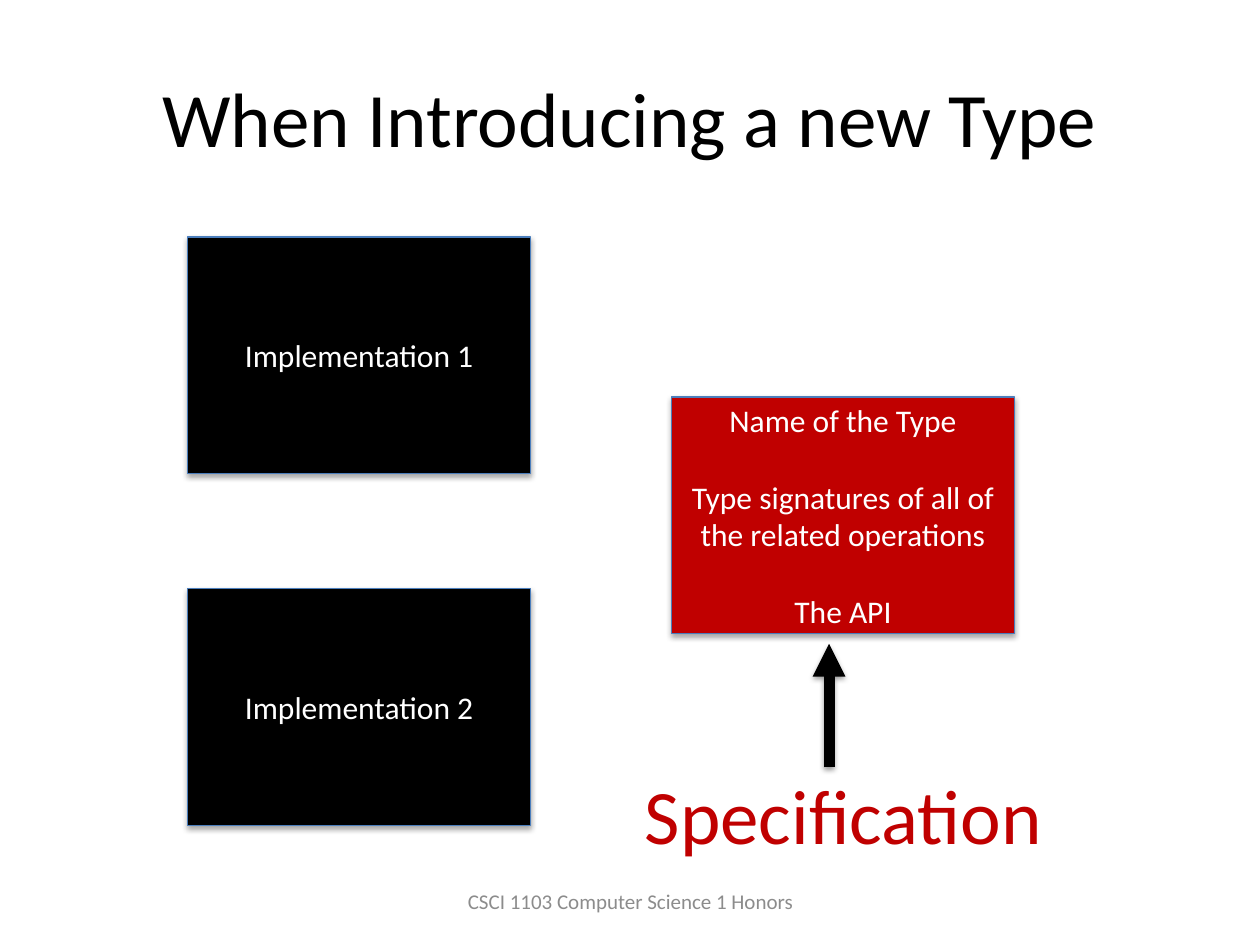
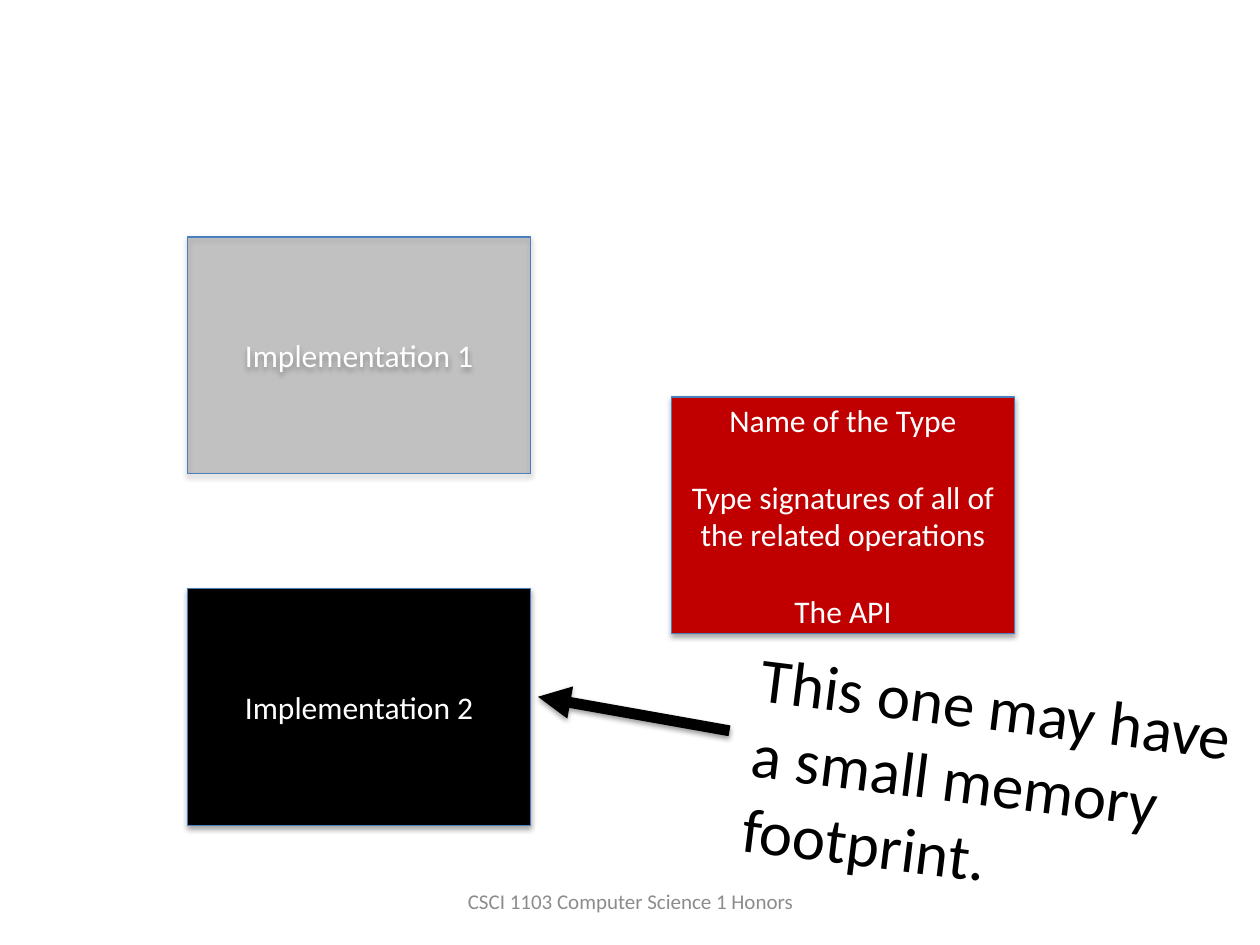
"""Build two slides on introducing a new type: implementations and their specification."""
from pptx import Presentation
from pptx.dml.color import RGBColor
from pptx.enum.shapes import MSO_CONNECTOR, MSO_SHAPE
from pptx.enum.text import MSO_ANCHOR, MSO_AUTO_SIZE, PP_ALIGN
from pptx.oxml import parse_xml
from pptx.oxml.ns import nsdecls, qn
from pptx.util import Inches, Pt

STRAIGHT = MSO_CONNECTOR.STRAIGHT
RECTANGLE = MSO_SHAPE.RECTANGLE
TOP, MIDDLE = MSO_ANCHOR.TOP, MSO_ANCHOR.MIDDLE
GROW = MSO_AUTO_SIZE.SHAPE_TO_FIT_TEXT
LEFT, CENTER = PP_ALIGN.LEFT, PP_ALIGN.CENTER

FONT = "Calibri"
BLACK, WHITE, RED, GREY, BLUE = "000000", "FFFFFF", "C00000", "8C8C8C", "4B7EBC"
WIDTH, HEIGHT = Inches(10), Inches(7.5)
COLUMNS, ROWS = 100, 75
BOX_COLUMNS, BOX_ROWS = 27.2, 18.8
SPECIFICATION = ["Name of the Type", "Type signatures of all of the related operations", "The API"]
BOXES = [
    (53.3, 31.5, RED, SPECIFICATION),
    (14.9, 18.8, BLACK, ["Implementation 1"]),
    (14.9, 46.7, BLACK, ["Implementation 2"]),
]
SLIDES = [
    {
        "layout": 5,
        "title": "When Introducing a new Type",
        "faded": [],
        "note": ["Specification"],
        "note_place": (50.2, 60.4, 34, 8.4),
        "note_format": {"size": 44, "color": RED, "wrap": False},
        "rotation": 0,
        "arrow": (65.8, 60.9, 65.8, 51.1),
    },
    {
        "layout": 6,
        "title": None,
        "faded": [["Implementation 1"]],
        "note": ["This one may have a small memory footprint."],
        "note_place": (58.6, 52.5, 39.9, 19.2),
        "note_format": {"size": 36},
        "rotation": 7.1,
        "arrow": (57.9, 58, 42.7, 55.3),
    },
]


def on_grid(left, top, right, bottom):
    """Turn two pairs of columns and rows into slide lengths."""
    return [round(count * share) for count, share in zip(
        (left, top, right, bottom), (WIDTH / COLUMNS, HEIGHT / ROWS) * 2)]


def write_text(shape, lines, size=18, color=BLACK, align=CENTER, anchor=MIDDLE, wrap=True, gap=0):
    """Write one paragraph per line into a shape."""
    frame = shape.text_frame
    frame.word_wrap = wrap
    frame.vertical_anchor = anchor
    frame.text = "\n".join(lines)
    for number, paragraph in enumerate(frame.paragraphs):
        paragraph.alignment = align
        paragraph.space_before = Pt(gap if number else 0)
        font = paragraph.runs[0].font
        font.name, font.size = FONT, Pt(size)
        font.color.rgb = RGBColor.from_string(color)


presentation = Presentation()
presentation.slide_width, presentation.slide_height = WIDTH, HEIGHT

for content in SLIDES:
    slide = presentation.slides.add_slide(presentation.slide_layouts[content["layout"]])
    shapes = slide.shapes
    shadowed = []

    if content["title"]:
        title = shapes.title
        title.left, title.top, title.width, title.height = on_grid(5, 3, 90, 12.5)
        write_text(title, [content["title"]], size=44)

    footer = shapes.add_textbox(*on_grid(34.2, 69.5, 31.7, 4))
    write_text(footer, ["CSCI 1103 Computer Science 1 Honors"], size=12, color=GREY)

    for column, row, color, lines in BOXES:
        box = shapes.add_shape(RECTANGLE, *on_grid(column, row, BOX_COLUMNS, BOX_ROWS))
        box.fill.solid()
        box.fill.fore_color.rgb = RGBColor.from_string(color)
        if lines in content["faded"]:
            fill_color = box._element.spPr.find(qn("a:solidFill"))[0]
            fill_color.append(parse_xml(f'<a:alpha {nsdecls("a")} val="19000"/>'))
        box.line.color.rgb = RGBColor.from_string(BLUE)
        box.line.width = Pt(0.75)
        write_text(box, lines, color=WHITE, gap=22)
        shadowed.append((box, 35, 1.8))

    note = shapes.add_textbox(*on_grid(*content["note_place"]))
    note.rotation = content["rotation"]
    write_text(note, content["note"], align=LEFT, anchor=TOP, **content["note_format"])
    note.text_frame.auto_size = GROW

    arrow = shapes.add_connector(STRAIGHT, *on_grid(*content["arrow"]))
    arrow.line.color.rgb = RGBColor.from_string(BLACK)
    arrow.line.width = Pt(6.25)
    arrow.line._get_or_add_ln().append(parse_xml(f'<a:tailEnd {nsdecls("a")} type="triangle"/>'))
    shadowed.append((arrow, 38, 1.6))

    for shape, opacity, distance in shadowed:
        shape._element.spPr.append(parse_xml(
            f'<a:effectLst {nsdecls("a")}><a:outerShdw blurRad="{Pt(3.1)}" dist="{Pt(distance)}" '
            f'dir="5400000" rotWithShape="0"><a:srgbClr val="{BLACK}">'
            f'<a:alpha val="{opacity * 1000}"/></a:srgbClr></a:outerShdw></a:effectLst>'))

presentation.save("out.pptx")
